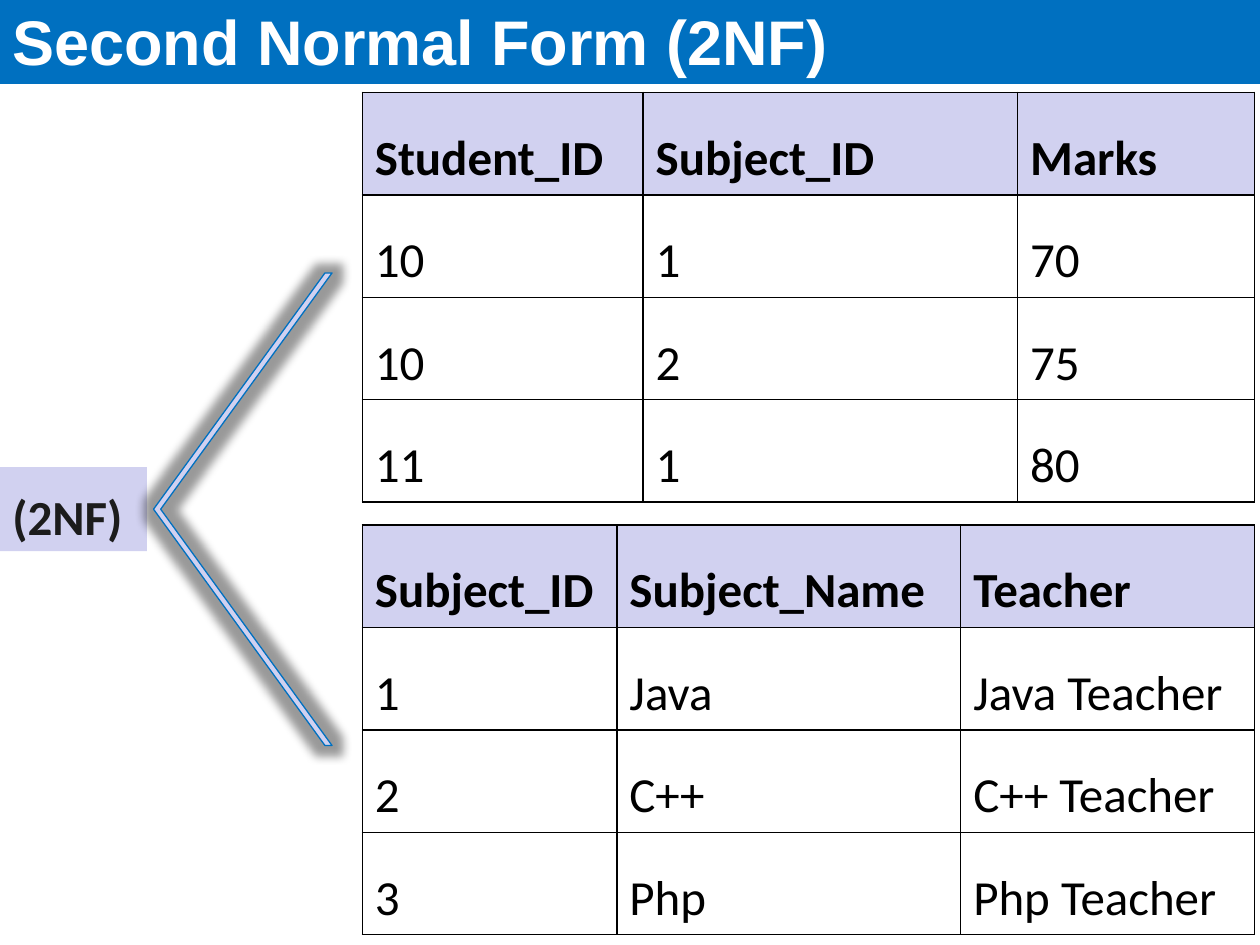
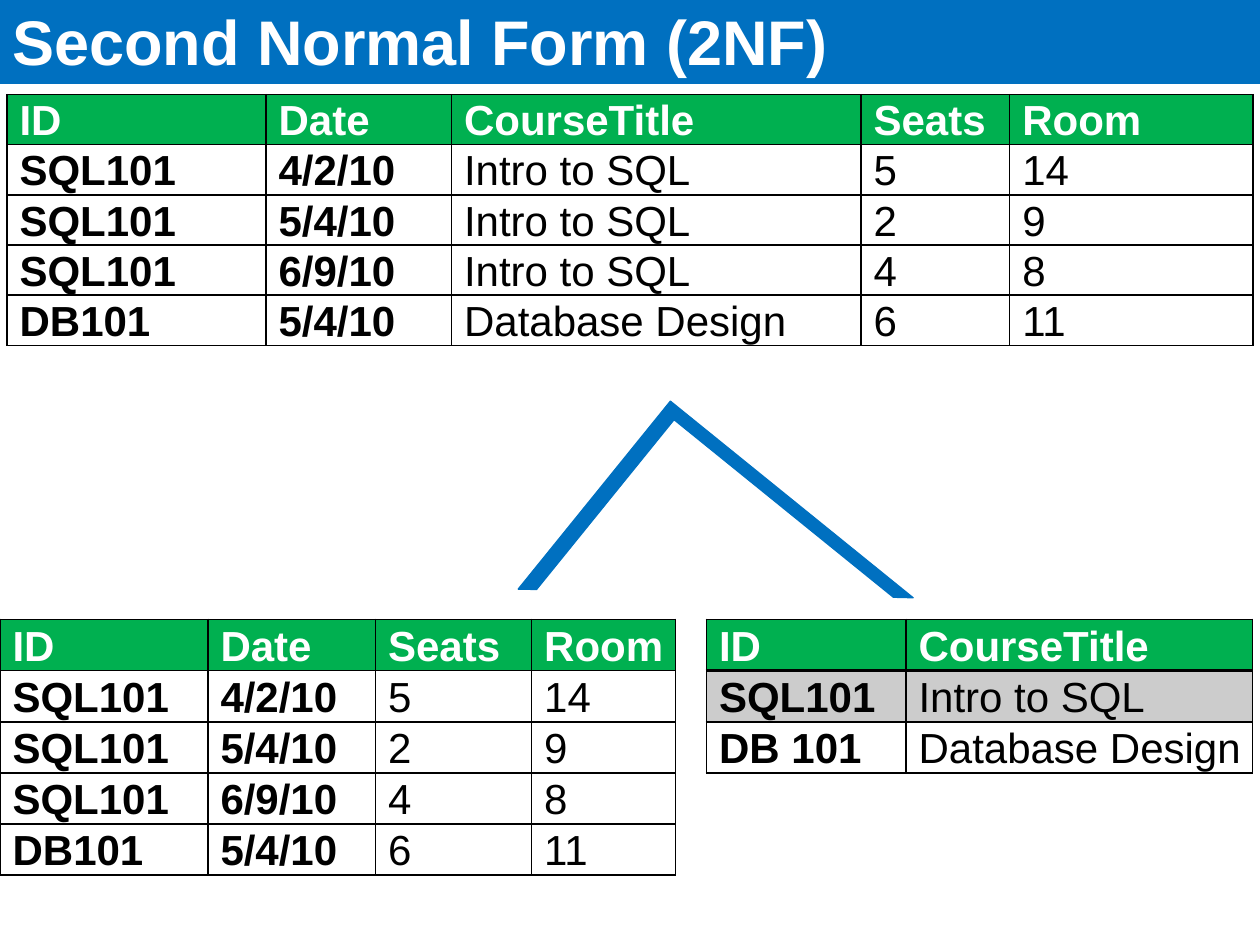
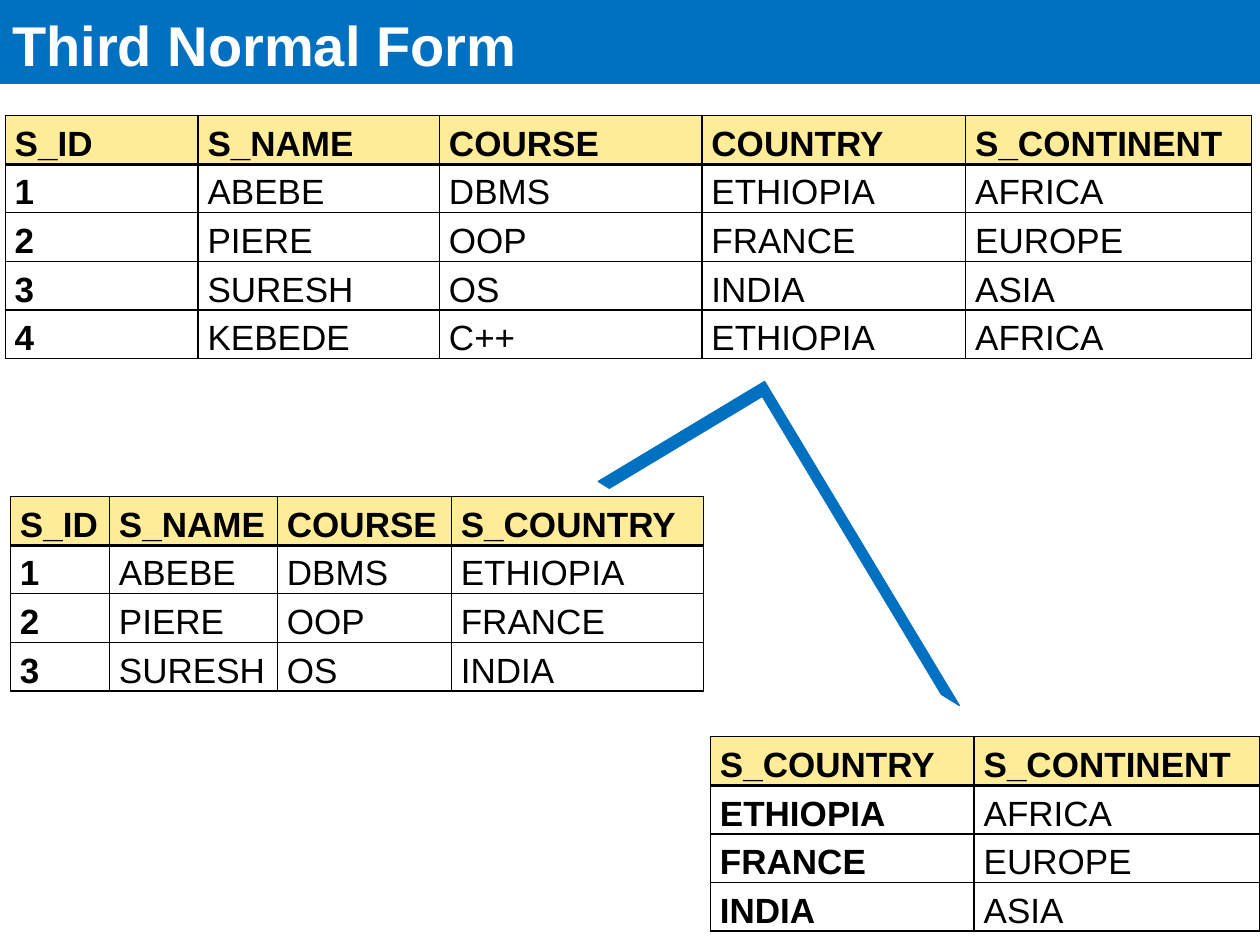
from dataclasses import dataclass

from lxml.etree import SubElement
from pptx import Presentation
from pptx.dml.color import RGBColor
from pptx.enum.shapes import MSO_SHAPE as SHAPE
from pptx.enum.text import MSO_ANCHOR as ANCHOR
from pptx.oxml.ns import qn
from pptx.util import Pt

BLACK = RGBColor(0x00, 0x00, 0x00)
WHITE = RGBColor(0xFF, 0xFF, 0xFF)
INK = RGBColor(0x1C, 0x1C, 0x1C)
BLUE = RGBColor(0x00, 0x70, 0xC0)
LAVENDER = RGBColor(0xD1, 0xD1, 0xF0)
GREEN = RGBColor(0x00, 0xB0, 0x50)
YELLOW = RGBColor(0xFF, 0xEC, 0x99)


@dataclass
class TableStyle:
    font: str
    size: float
    header_fill: RGBColor
    header_color: RGBColor
    spacing: float
    row_height: float
    margins: tuple
    anchor: ANCHOR = ANCHOR.TOP
    key_columns: int = 0
    header_rule: float = 1
    shaded_row: int = -1


def set_all(target, values):
    for name, value in values.items():
        setattr(target, name, value)


def write(p, text, font, size, color, bold):
    r = p.add_run()
    r.text = text
    set_all(r.font, {"name": font, "size": Pt(size), "bold": bold})
    r.font.color.rgb = color


def add_alpha(parent, percent):
    SubElement(parent, qn("a:alpha"), val=str(percent * 1000))


def set_borders(cell, top, bottom):
    tc_pr = cell._tc.get_or_add_tcPr()
    for side, width in zip("LRTB", (1, 1, top, bottom)):
        ln = SubElement(tc_pr, qn(f"a:ln{side}"), w=str(Pt(width)))
        fill = SubElement(ln, qn("a:solidFill"))
        SubElement(fill, qn("a:srgbClr"), val=str(BLACK))


class Deck:
    def __init__(self):
        self.prs = Presentation()
        set_all(self.prs, {"slide_width": Pt(720), "slide_height": Pt(540)})
        self.slide = None

    def new_slide(self, title, size=36):
        self.slide = self.prs.slides.add_slide(self.prs.slide_layouts[6])
        self.label(title, (0, 0, 720, 48), BLUE, "Arial", size, WHITE)

    def shape(self, kind, box, fill, line=None, adjustments=(), rotation=0):
        s = self.slide.shapes.add_shape(kind, *map(Pt, box))
        s.shadow.inherit = False
        s.rotation = rotation
        for i, value in enumerate(adjustments):
            s.adjustments[i] = value
        s.fill.solid()
        s.fill.fore_color.rgb = fill
        if line is None:
            s.line.fill.background()
        else:
            s.line.color.rgb = line
            s.line.width = Pt(0.75)
        return s

    def label(self, text, box, fill, font, size, color):
        tf = self.shape(SHAPE.RECTANGLE, box, fill).text_frame
        set_all(tf, {"word_wrap": True, "vertical_anchor": ANCHOR.BOTTOM})
        p = tf.paragraphs[0]
        p.alignment = 1
        write(p, text, font, size, color, True)

    def glowing_chevron(self, box):
        s = self.shape(SHAPE.CHEVRON, box, LAVENDER, BLUE, (0.96,))
        s._element.spPr.find(qn("a:xfrm")).set("flipH", "1")
        effects = s._element.spPr.find(qn("a:effectLst"))
        glow = SubElement(effects, qn("a:glow"), rad=str(Pt(11)))
        add_alpha(SubElement(glow, qn("a:srgbClr"), val=str(BLACK)), 40)

    def split_mark(self, box, rotation):
        self.shape(SHAPE.HALF_FRAME, box, BLUE, BLUE, (0.05, 0.06), rotation)

    def table(self, left, top, widths, rows, style):
        frame = self.slide.shapes.add_table(
            len(rows), len(widths), Pt(left), Pt(top),
            Pt(sum(widths)), Pt(style.row_height * len(rows)))
        table = frame.table
        set_all(table, {"first_row": False, "horz_banding": False})
        for column, width in zip(table.columns, widths):
            column.width = Pt(width)
        for i, row in enumerate(rows):
            table.rows[i].height = Pt(style.row_height)
            for j, text in enumerate(row):
                self.cell(table.cell(i, j), text, i, j, style)

    def cell(self, cell, text, i, j, style):
        header = i == 0
        sides = ("margin_left", "margin_top", "margin_right", "margin_bottom")
        set_all(cell, dict(zip(sides, map(Pt, style.margins))))
        cell.vertical_anchor = style.anchor
        set_borders(cell, style.header_rule if i == 1 else 1,
                    style.header_rule if header else 1)
        if header or i == style.shaded_row:
            cell.fill.solid()
            cell.fill.fore_color.rgb = style.header_fill if header else BLACK
            if not header:
                add_alpha(cell._tc.tcPr.find(
                    f"{qn('a:solidFill')}/{qn('a:srgbClr')}"), 20)
        else:
            cell.fill.background()
        p = cell.text_frame.paragraphs[0]
        p.line_spacing = style.spacing
        write(p, text, style.font, style.size,
              style.header_color if header else BLACK,
              header or j < style.key_columns)


MARKS_STYLE = TableStyle("Calibri", 28, LAVENDER, BLACK, 1.5, 29.3,
                         (7.2, 3.6, 7.2, 3.6))
COURSE = dict(font="Arial", size=24, header_fill=GREEN, header_color=WHITE,
              spacing=1.07, margins=(7.2, 0, 5.4, 0), anchor=ANCHOR.MIDDLE)
SESSION_STYLE = TableStyle(row_height=28.4, key_columns=2, **COURSE)
SEATS_STYLE = TableStyle(row_height=29.25, key_columns=2, **COURSE)
TITLE_STYLE = TableStyle(row_height=29.25, key_columns=1, header_rule=2,
                         shaded_row=1, **COURSE)
STUDENT_STYLE = TableStyle("Arial", 20, YELLOW, BLACK, 1.07, 27.8,
                           (5.4, 3.6, 4.3, 0), key_columns=1, header_rule=2)

SESSIONS = [
    ("ID", "Date", "CourseTitle", "Seats", "Room"),
    ("SQL101", "4/2/10", "Intro to SQL", "5", "14"),
    ("SQL101", "5/4/10", "Intro to SQL", "2", "9"),
    ("SQL101", "6/9/10", "Intro to SQL", "4", "8"),
    ("DB101", "5/4/10", "Database Design", "6", "11"),
]
STUDENTS = [
    ("1", "ABEBE", "DBMS", "ETHIOPIA", "AFRICA"),
    ("2", "PIERE", "OOP", "FRANCE", "EUROPE"),
    ("3", "SURESH", "OS", "INDIA", "ASIA"),
    ("4", "KEBEDE", "C++", "ETHIOPIA", "AFRICA"),
]


def marks_slide(deck):
    deck.new_slide("Second Normal Form (2NF)")
    deck.table(207, 52.8, (160.5, 214, 135.5), [
        ("Student_ID", "Subject_ID", "Marks"),
        ("10", "1", "70"),
        ("10", "2", "75"),
        ("11", "1", "80"),
    ], MARKS_STYLE)
    subjects = enumerate(("Java", "C++", "Php"), 1)
    deck.table(207, 300, (145.5, 196.5, 168), [
        ("Subject_ID", "Subject_Name", "Teacher"),
        *((str(n), name, f"{name} Teacher") for n, name in subjects),
    ], MARKS_STYLE)
    deck.label("(2NF)", (0, 267, 84, 48), LAVENDER, "Calibri", 28, INK)
    deck.glowing_chevron((87.8, 156, 102, 270))


def courses_slide(deck):
    deck.new_slide("Second Normal Form (2NF)")
    deck.table(4, 54, (148, 106, 234, 85, 139), SESSIONS, SESSION_STYLE)
    deck.table(0, 354, (118.8, 95.8, 89.2, 82.2),
               [row[:2] + row[3:] for row in SESSIONS], SEATS_STYLE)
    deck.table(403.7, 354, (114, 198), [
        ("ID", "CourseTitle"),
        ("SQL101", "Intro to SQL"),
        ("DB 101", "Database Design"),
    ], TITLE_STYLE)
    deck.split_mark((319.7, 270, 178.5, 138.2), 39)


def students_slide(deck):
    deck.new_slide("Third Normal Form", 32)
    header = ("S_ID", "S_NAME", "COURSE")
    deck.table(3, 66, (110.2, 138, 150, 150.7, 163.3),
               [header + ("COUNTRY", "S_CONTINENT"), *STUDENTS], STUDENT_STYLE)
    deck.split_mark((337, 283.7, 216, 110.9), 59)
    deck.table(6, 283.7, (56.6, 96, 99.4, 144),
               [header + ("S_COUNTRY",), *(row[:4] for row in STUDENTS[:3])],
               STUDENT_STYLE)
    deck.table(406, 421, (150.7, 163.3),
               [("S_COUNTRY", "S_CONTINENT"),
                *(row[3:] for row in STUDENTS[:3])], STUDENT_STYLE)


def main():
    deck = Deck()
    for build in (marks_slide, courses_slide, students_slide):
        build(deck)
    deck.prs.save("out.pptx")


if __name__ == "__main__":
    main()
